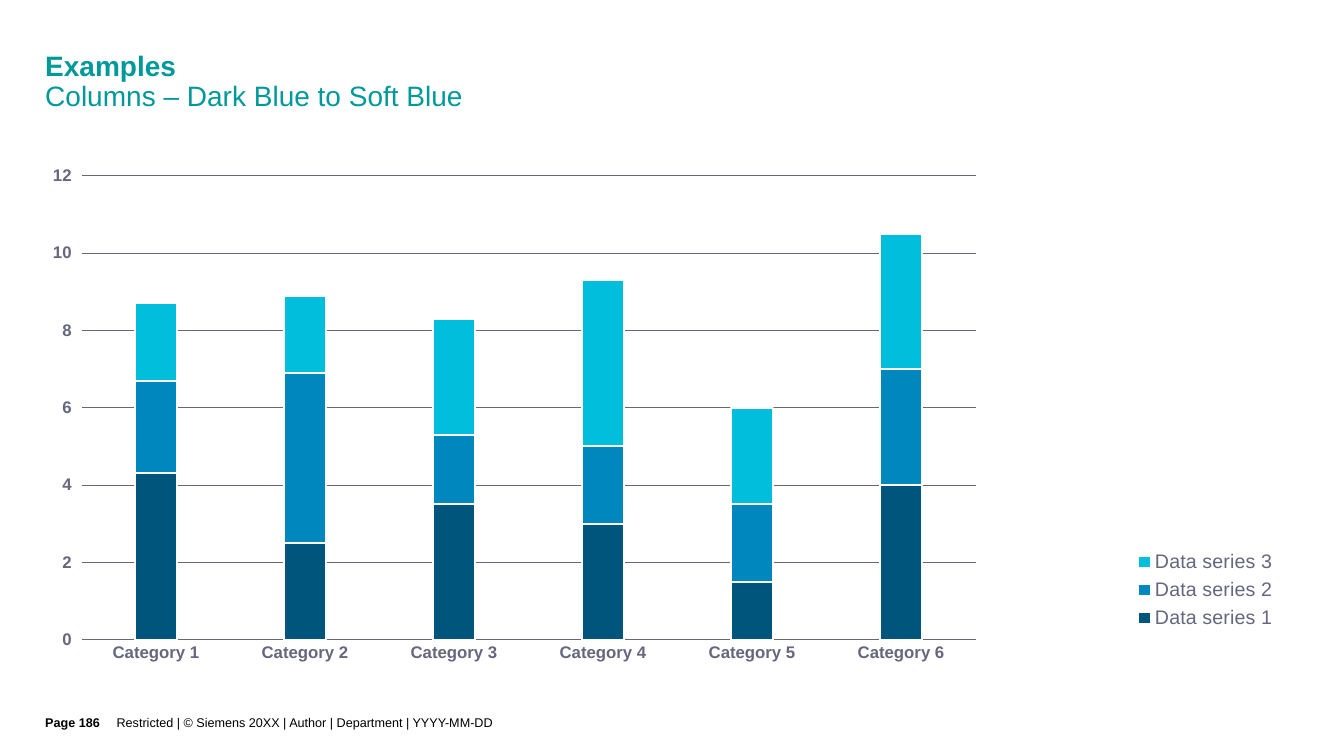
from pptx import Presentation
from pptx.chart.data import CategoryChartData
from pptx.dml.color import RGBColor
from pptx.enum.chart import XL_CHART_TYPE, XL_LEGEND_POSITION, XL_TICK_MARK
from pptx.enum.text import MSO_ANCHOR
from pptx.oxml import parse_xml
from pptx.oxml.ns import nsdecls, qn
from pptx.util import Cm, Pt

STACKED = XL_CHART_TYPE.COLUMN_STACKED
LEGEND_RIGHT = XL_LEGEND_POSITION.RIGHT
TICK_NONE, TICK_OUT = XL_TICK_MARK.NONE, XL_TICK_MARK.OUTSIDE
TOP, MIDDLE = MSO_ANCHOR.TOP, MSO_ANCHOR.MIDDLE

COLORS = {
    "teal": "009999",
    "black": "000000",
    "white": "FFFFFF",
    "slate": "66667E",
    "dark_blue": "00557C",
    "blue": "0087BE",
    "soft_blue": "00BEDC",
}

HEADING = [("Examples", True), ("Columns – Dark Blue to Soft Blue", False)]
PAGE = [("Page 186", True)]
FOOTER = [("Restricted | © Siemens 20XX | Author | Department | YYYY-MM-DD", False)]

CATEGORIES = [f"Category {number}" for number in range(1, 7)]
SERIES = [
    ("Data series 1", (4.3, 2.5, 3.5, 3, 1.5, 4), "dark_blue"),
    ("Data series 2", (2.4, 4.4, 1.8, 2, 2, 3), "blue"),
    ("Data series 3", (2, 2, 3, 4.3, 2.5, 3.5), "soft_blue"),
]

LEFT = 1.14
FOOTER_TOP, FOOTER_HEIGHT = 17.53, 1.52
PAGE_WIDTH = 1.8
TITLE_WIDTH = 27.41
CHART_BOX = (LEFT, 3.94, 31.6, 13.2)
PLOT_LAYOUT = {"x": 0.029, "y": 0.037, "w": 0.713, "h": 0.886}
LEGEND_LAYOUT = {"x": 0.868, "y": 0.742, "w": 0.115, "h": 0.172}

TEXTS = [
    (HEADING, (LEFT, 1.32, TITLE_WIDTH, 1.6), 20, "teal", 0.9,
     {"vertical_anchor": TOP, "margin_right": Cm(0.89), "margin_bottom": Cm(0.05)}),
    (FOOTER, (LEFT + PAGE_WIDTH, FOOTER_TOP, TITLE_WIDTH - PAGE_WIDTH, FOOTER_HEIGHT),
     9, "black", 1.0,
     {"vertical_anchor": MIDDLE, "margin_right": 0, "margin_bottom": Cm(0.18)}),
    (PAGE, (LEFT, FOOTER_TOP, PAGE_WIDTH, FOOTER_HEIGHT), 9, "black", 1.0,
     {"vertical_anchor": MIDDLE, "margin_right": 0, "margin_bottom": Cm(0.18)}),
]


def rgb(name):
    return RGBColor.from_string(COLORS[name])


def apply(target, formats):
    for key, value in formats.items():
        setattr(target, key, value)


def style_font(font, size, color, bold=False):
    apply(font, {"name": "Arial", "size": Pt(size), "bold": bold})
    font.color.rgb = rgb(color)


def style_line(line, color, width):
    line.color.rgb = rgb(color)
    line.width = Pt(width)


def add_text(slide, lines, box, size, color, spacing, formats):
    frame = slide.shapes.add_textbox(*map(Cm, box)).text_frame
    apply(frame, {"word_wrap": True, "margin_left": 0, "margin_top": 0, **formats})
    paragraph = frame.paragraphs[0]
    paragraph.line_spacing = spacing
    for index, (text, bold) in enumerate(lines):
        if index:
            paragraph.add_line_break()
        run = paragraph.add_run()
        run.text = text
        style_font(run.font, size, color, bold)


def layout_xml(fractions, inner=False):
    target = '<c:layoutTarget val="inner"/>' if inner else ""
    modes = "".join(f'<c:{key}Mode val="edge"/>' for key in "xy")
    values = "".join(f'<c:{key} val="{value}"/>' for key, value in fractions.items())
    return parse_xml(
        f'<c:layout {nsdecls("c")}><c:manualLayout>{target}{modes}{values}'
        "</c:manualLayout></c:layout>"
    )


def add_column_chart(slide):
    data = CategoryChartData()
    data.categories = CATEGORIES
    for name, values, _ in SERIES:
        data.add_series(name, values)
    chart = slide.shapes.add_chart(STACKED, *map(Cm, CHART_BOX), data).chart
    chart.has_title = False
    style_font(chart.font, 18, "black")

    plot = chart.plots[0]
    apply(plot, {"gap_width": 255, "overlap": 100, "vary_by_categories": False})
    for series, (_, _, color) in zip(plot.series, SERIES):
        series.format.fill.solid()
        series.format.fill.fore_color.rgb = rgb(color)
        style_line(series.format.line, "white", 1.5)

    for axis, tick in ((chart.category_axis, TICK_NONE), (chart.value_axis, TICK_OUT)):
        apply(axis, {"major_tick_mark": tick, "minor_tick_mark": TICK_NONE})
        style_font(axis.tick_labels.font, 12, "slate", True)
    style_line(chart.category_axis.format.line, "slate", 0.5)
    apply(chart.value_axis, {"minimum_scale": 0, "maximum_scale": 12, "major_unit": 2})
    chart.value_axis.format.line.fill.background()
    style_line(chart.value_axis.major_gridlines.format.line, "slate", 0.5)

    chart.has_legend = True
    legend = chart.legend
    apply(legend, {"position": LEGEND_RIGHT, "include_in_layout": False})
    style_font(legend.font, 14, "slate")

    chart_space = chart.element
    plot_area = chart_space.find(f".//{qn('c:plotArea')}")
    legend_part = chart_space.find(f".//{qn('c:legend')}")
    for part in (plot_area, legend_part):
        for layout in part.findall(qn("c:layout")):
            part.remove(layout)
    plot_area.insert(0, layout_xml(PLOT_LAYOUT, inner=True))
    legend_part.find(qn("c:overlay")).addprevious(layout_xml(LEGEND_LAYOUT))


def main():
    deck = Presentation()
    apply(deck, {"slide_width": Cm(33.87), "slide_height": Cm(19.05)})
    slide = deck.slides.add_slide(deck.slide_layouts[6])
    for text in TEXTS:
        add_text(slide, *text)
    add_column_chart(slide)
    deck.save("out.pptx")


if __name__ == "__main__":
    main()
